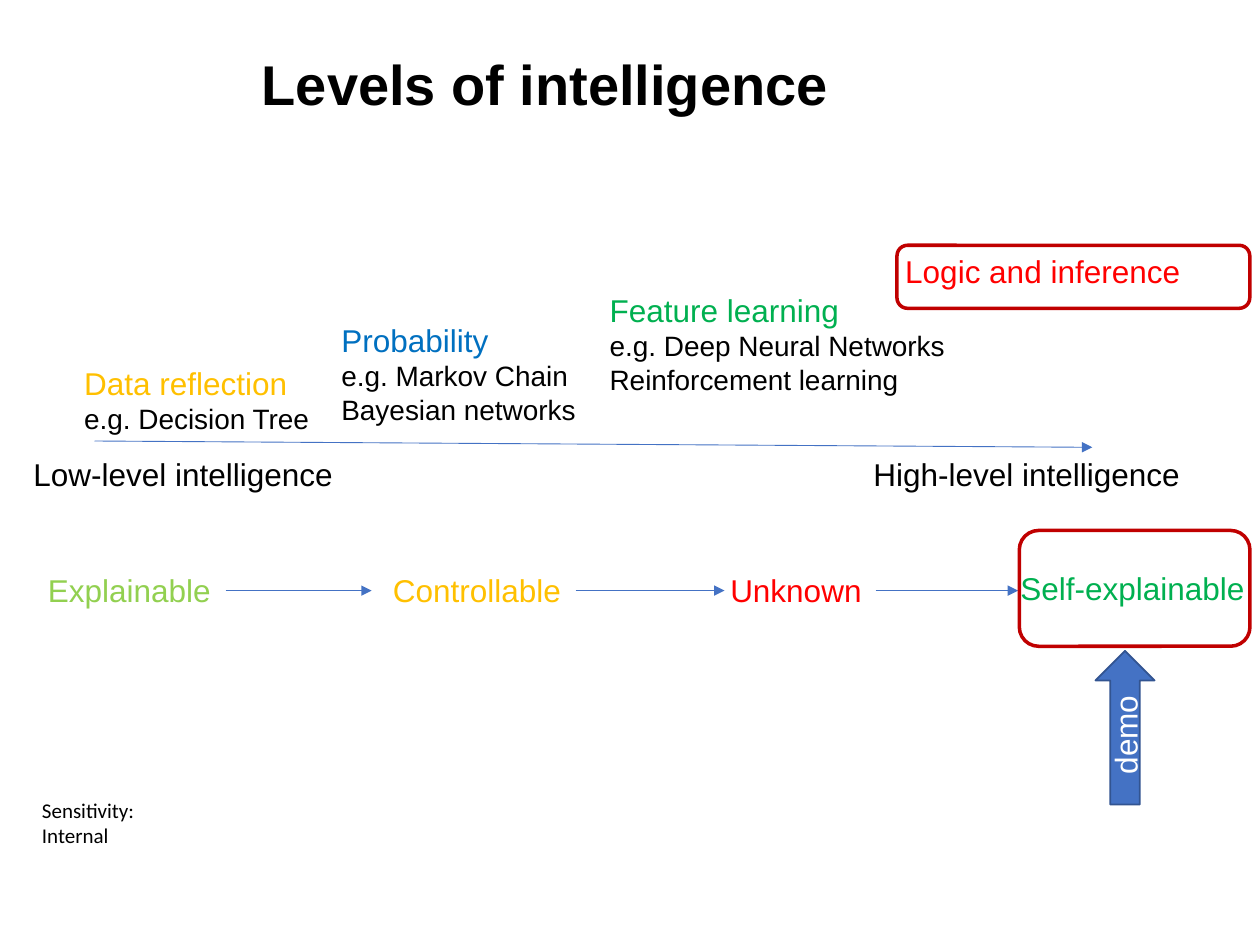
from dataclasses import dataclass

from lxml import etree
from pptx import Presentation
from pptx.dml.color import RGBColor
from pptx.enum.shapes import MSO_CONNECTOR, MSO_SHAPE
from pptx.enum.text import MSO_ANCHOR, MSO_AUTO_SIZE, PP_ALIGN
from pptx.oxml.ns import qn
from pptx.util import Pt

LINE = MSO_CONNECTOR.STRAIGHT
ROUND = MSO_SHAPE.ROUNDED_RECTANGLE
ARROW = MSO_SHAPE.RIGHT_ARROW
TOP, MIDDLE = MSO_ANCHOR.TOP, MSO_ANCHOR.MIDDLE
FIT = MSO_AUTO_SIZE.SHAPE_TO_FIT_TEXT
CENTER = PP_ALIGN.CENTER


@dataclass(frozen=True)
class Theme:
    font: str = "Arial"
    note_font: str = "Calibri"
    title: int = 32
    head: int = 18
    body: int = 16
    note: int = 12
    black: str = "000000"
    white: str = "FFFFFF"
    blue: str = "4472C4"
    edge: str = "325491"
    frame: str = "C00000"
    red: str = "FF0000"
    gold: str = "FFC000"
    sky: str = "0070C0"
    green: str = "00B050"
    lime: str = "92D050"


THEME = Theme()


def color(code):
    return RGBColor.from_string(code)


def write(para, text, size=THEME.head, ink=THEME.black, font=THEME.font,
          bold=False, align=None, space=None):
    """Fill one paragraph with formatted text."""
    para.alignment = align
    para.line_spacing = space
    run = para.add_run()
    run.text = text
    face = run.font
    face.name, face.size, face.bold = font, Pt(size), bold
    face.color.rgb = color(ink)


def add_box(slide, left, top, width, height, wrap=False):
    """Add a text box and return its frame."""
    box = slide.shapes.add_textbox(Pt(left), Pt(top), Pt(width), Pt(height))
    frame = box.text_frame
    frame.word_wrap = wrap
    if not wrap:
        frame.auto_size = FIT
    frame.vertical_anchor = TOP
    return frame


def add_label(slide, left, top, width, text, ink=THEME.black, notes=()):
    """Add a heading with optional example lines below it."""
    frame = add_box(slide, left, top, width, 29 + 19.4 * len(notes))
    write(frame.paragraphs[0], text, ink=ink)
    for note in notes:
        write(frame.add_paragraph(), note, size=THEME.body)


def add_arrow(slide, x1, y1, x2, y2):
    """Add a thin line with a triangle at its end."""
    line = slide.shapes.add_connector(LINE, Pt(x1), Pt(y1), Pt(x2), Pt(y2))
    line.line.color.rgb = color(THEME.blue)
    line.line.width = Pt(0.5)
    stroke = line.line._get_or_add_ln()
    etree.SubElement(stroke, qn("a:tailEnd"), type="triangle")
    etree.SubElement(line._element.spPr, qn("a:effectLst"))


def add_shape(slide, kind, left, top, width, height, edge, weight, fill=None):
    """Add a preset shape without shadow."""
    shape = slide.shapes.add_shape(
        kind, Pt(left), Pt(top), Pt(width), Pt(height))
    shape.shadow.inherit = False
    shape.line.color.rgb = color(edge)
    shape.line.width = Pt(weight)
    if fill:
        shape.fill.solid()
        shape.fill.fore_color.rgb = color(fill)
    else:
        shape.fill.background()
    return shape


def add_demo(slide):
    """Add the block arrow that points up at the last stage."""
    arrow = add_shape(slide, ARROW, 599, 398.9, 87.8, 33.8,
                      THEME.edge, 1, THEME.blue)
    arrow.rotation = 270
    arrow.text_frame.vertical_anchor = MIDDLE
    write(arrow.text_frame.paragraphs[0], "demo", ink=THEME.white,
          align=CENTER)


def main():
    deck = Presentation()
    deck.slide_width, deck.slide_height = Pt(720), Pt(540)
    slide = deck.slides.add_slide(deck.slide_layouts[6])

    # Sensitivity note
    frame = add_box(slide, 5, 455.8, 90, 28.8, wrap=True)
    frame.margin_left = Pt(19)
    frame.margin_right = frame.margin_top = frame.margin_bottom = 0
    frame.vertical_anchor = MIDDLE
    write(frame.paragraphs[0], "Sensitivity: Internal", size=THEME.note,
          font=THEME.note_font)

    # Title
    frame = add_box(slide, 142.5, 28.8, 527.8, 46.8, wrap=True)
    write(frame.paragraphs[0], "Levels of intelligence", size=THEME.title,
          bold=True, space=0.9)

    # Intelligence axis
    add_arrow(slide, 54, 252, 624.2, 255.6)
    add_label(slide, 12, 256.5, 187.2, "Low-level intelligence")
    add_label(slide, 492, 256.5, 191.5, "High-level intelligence")

    # Levels, rising along the axis
    levels = [
        (41, 204.5, 144.7, "Data reflection", THEME.gold,
         ["e.g. Decision Tree"]),
        (188, 180, 149.8, "Probability", THEME.sky,
         ["e.g. Markov Chain", "Bayesian networks"]),
        (341.3, 162.7, 208, "Feature learning", THEME.green,
         ["e.g. Deep Neural Networks", "Reinforcement learning"]),
        (510.2, 140.2, 172.8, "Logic and inference", THEME.red, []),
    ]
    for level in levels:
        add_label(slide, *level)

    # Stages, joined by arrows
    stages = [
        (20.2, 322.6, 108.7, "Explainable", THEME.lime),
        (217.4, 322.6, 111.6, "Controllable", THEME.gold),
        (410.2, 322.6, 90, "Unknown", THEME.red),
        (576, 321.6, 144, "Self-explainable", THEME.green),
    ]
    for stage in stages:
        add_label(slide, *stage)
    for start, end in [(128.9, 212.4), (329, 414), (500.4, 581.8)]:
        add_arrow(slide, start, 337.5, end, 337.5)

    # Frames and demo arrow
    add_shape(slide, ROUND, 582.5, 303.1, 131.8, 66.2, THEME.frame, 2)
    add_shape(slide, ROUND, 512.6, 140.2, 201.6, 36, THEME.frame, 2)
    add_demo(slide)

    deck.save("out.pptx")


if __name__ == "__main__":
    main()
